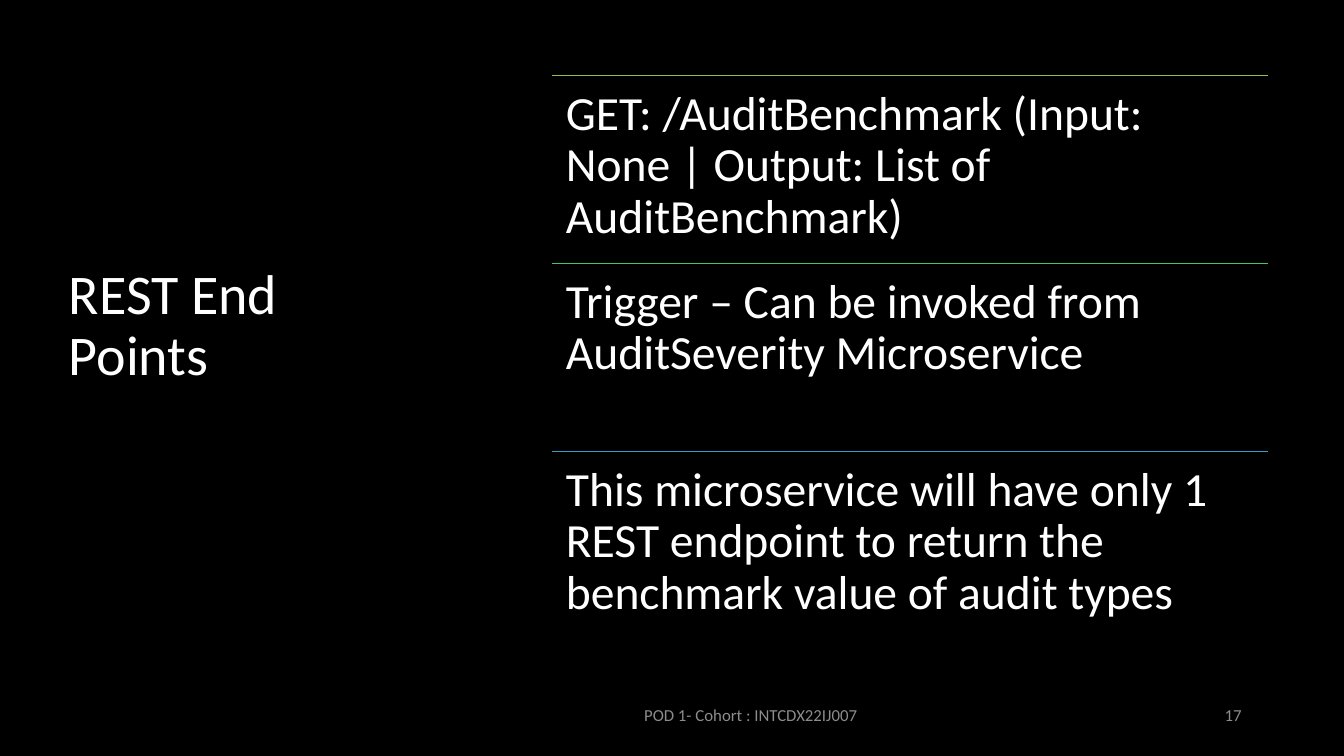
"""Build the REST End Points slide: a title beside three ruled statements."""
from dataclasses import dataclass

from lxml.etree import SubElement
from pptx import Presentation
from pptx.dml.color import RGBColor
from pptx.enum.shapes import MSO_CONNECTOR
from pptx.enum.text import MSO_ANCHOR as Anchor, MSO_AUTO_SIZE as AutoSize, PP_ALIGN as Align
from pptx.oxml.ns import qn
from pptx.slide import Slide
from pptx.text.text import TextFrame
from pptx.util import Emu, Pt

EMU_PER_PX = 9525
FONT = "Calibri"
BLACK = RGBColor(0x00, 0x00, 0x00)
WHITE = RGBColor(0xFF, 0xFF, 0xFF)
GREY = RGBColor(0x8C, 0x8C, 0x8C)
LIME = RGBColor(0x97, 0xBE, 0x49)
GREEN = RGBColor(0x43, 0xC5, 0x6E)
BLUE = RGBColor(0x3D, 0x9C, 0xCC)

LIST_LEFT, LIST_TOP, LIST_WIDTH, ROW_HEIGHT = 526, 72, 682, 179
ROW_INSET = 13
FOOTER_TOP, FOOTER_HEIGHT = 662, 38


@dataclass(frozen=True)
class Statement:
    text: str
    rule_color: RGBColor


@dataclass(frozen=True)
class FooterItem:
    text: str
    left: int
    width: int
    align: Align


STATEMENTS = (
    Statement("GET: /AuditBenchmark (Input: None | Output: List of AuditBenchmark)", LIME),
    Statement("Trigger – Can be invoked from AuditSeverity Microservice", GREEN),
    Statement("This microservice will have only 1 REST endpoint to return the "
              "benchmark value of audit types", BLUE),
)
FOOTER = (
    FooterItem("POD 1- Cohort : INTCDX22IJ007", 604, 409, Align.LEFT),
    FooterItem("17", 1078, 114, Align.RIGHT),
)


def px(length: int) -> Emu:
    return Emu(length * EMU_PER_PX)


def write(frame: TextFrame, text: str, size: int, color: RGBColor,
          anchor: Anchor, align: Align = Align.LEFT) -> None:
    frame.text = text
    frame.word_wrap = True
    frame.auto_size = AutoSize.NONE
    frame.vertical_anchor = anchor
    paragraph = frame.paragraphs[0]
    paragraph.alignment = align
    font = paragraph.runs[0].font
    font.name, font.size, font.color.rgb = FONT, Pt(size), color


def add_title(slide: Slide) -> None:
    title = slide.shapes.title
    title.left, title.top, title.width, title.height = map(px, (56, 72, 292, 536))
    frame = title.text_frame
    write(frame, "REST End Points", 40, WHITE, Anchor.MIDDLE)
    frame.margin_bottom = px(62)
    frame.paragraphs[0].line_spacing = 0.9
    frame.paragraphs[0].space_before = Pt(10)


def add_statement(slide: Slide, statement: Statement, row: int) -> None:
    top = LIST_TOP + row * ROW_HEIGHT
    rule = slide.shapes.add_connector(
        MSO_CONNECTOR.STRAIGHT, px(LIST_LEFT), px(top), px(LIST_LEFT + LIST_WIDTH), px(top))
    rule.line.color.rgb = statement.rule_color
    rule.line.width = Pt(1)
    SubElement(rule._element.spPr, qn("a:effectLst"))

    box = slide.shapes.add_textbox(px(LIST_LEFT), px(top), px(LIST_WIDTH), px(ROW_HEIGHT))
    frame = box.text_frame
    write(frame, statement.text, 34, WHITE, Anchor.TOP)
    frame.margin_left = frame.margin_right = px(ROW_INSET)
    frame.margin_top = frame.margin_bottom = px(ROW_INSET)
    frame.paragraphs[0].line_spacing = 0.9


def add_footer_item(slide: Slide, item: FooterItem) -> None:
    box = slide.shapes.add_textbox(
        px(item.left), px(FOOTER_TOP), px(item.width), px(FOOTER_HEIGHT))
    write(box.text_frame, item.text, 12, GREY, Anchor.MIDDLE, item.align)
    box.text_frame.paragraphs[0].space_after = Pt(6)


def main() -> None:
    deck = Presentation()
    deck.slide_width, deck.slide_height = px(1280), px(720)
    slide = deck.slides.add_slide(deck.slide_layouts.get_by_name("Title Only"))
    slide.background.fill.solid()
    slide.background.fill.fore_color.rgb = BLACK
    add_title(slide)
    for item in FOOTER:
        add_footer_item(slide, item)
    for row, statement in enumerate(STATEMENTS):
        add_statement(slide, statement, row)
    deck.save("out.pptx")


if __name__ == "__main__":
    main()
